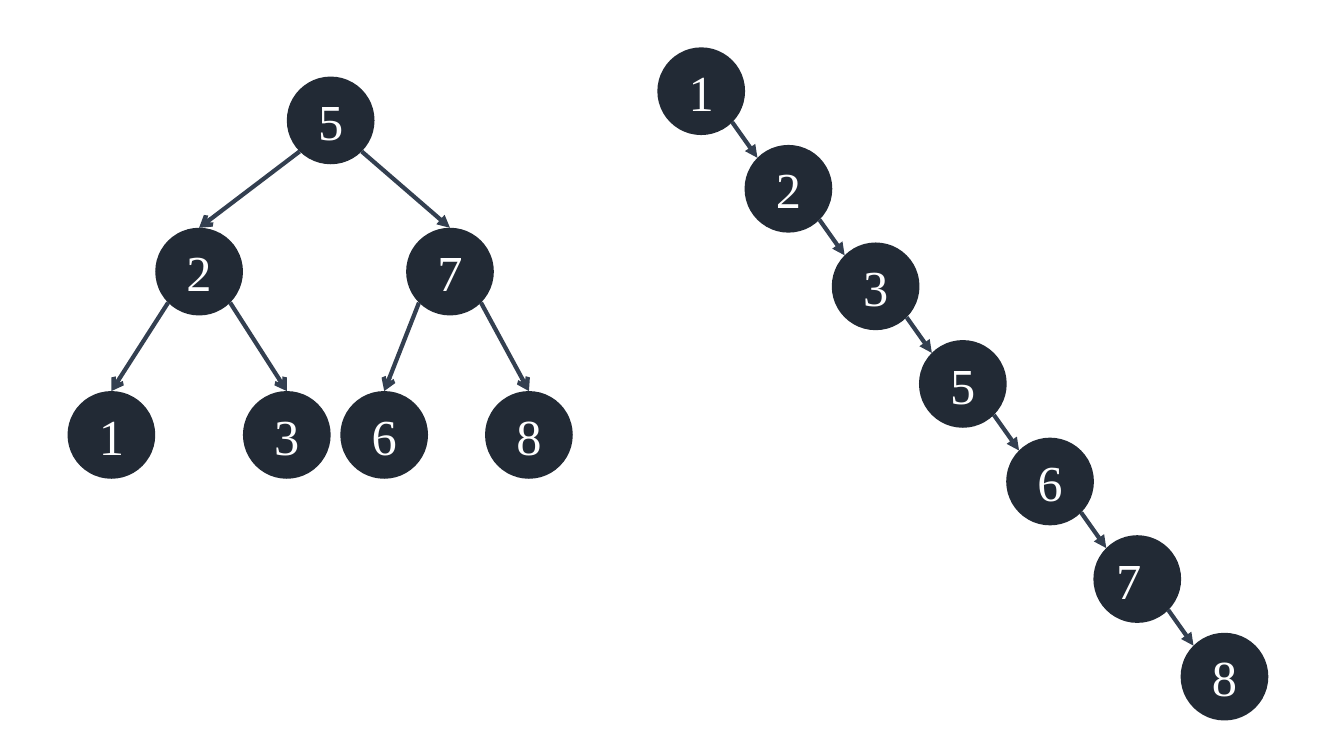
from math import sqrt

from pptx import Presentation
from pptx.dml.color import RGBColor
from pptx.enum.shapes import MSO_CONNECTOR as Connector, MSO_SHAPE as Shape
from pptx.enum.text import MSO_ANCHOR as Anchor, PP_ALIGN as Align
from pptx.oxml.ns import qn
from pptx.util import Inches, Pt
from lxml.etree import SubElement

COLORS = {"node": "222A35", "edge": "333F50", "label": "FFFFFF"}
DIAMETER = 0.87
RADIUS = DIAMETER / 2
DIAGONAL = RADIUS / sqrt(2)

# Balanced tree: columns are one node wide, rows are the tree levels
TREE_LEFT = 0.67
LEVEL_TOPS = [0.76, 2.26, 3.88]
TREE_NODES = {
    "5": (2.5, 0),
    "2": (1, 1), "7": (3.86, 1),
    "1": (0, 2), "3": (2, 2), "6": (3.11, 2), "8": (4.76, 2),
}
TREE_EDGES = [
    ("5", "2", "arrow"), ("5", "7", "triangle"),
    ("2", "1", "arrow"), ("2", "3", "arrow"),
    ("7", "6", "arrow"), ("7", "8", "arrow"),
]

# Degenerate tree: every step goes one column right and one row down
CHAIN_LABELS = "1235678"
CHAIN_LEFT, CHAIN_TOP = 6.52, 0.47
CHAIN_STEP_X, CHAIN_STEP_Y = 0.865, 0.968


def color(name):
    return RGBColor.from_string(COLORS[name])


def add_node(page, label, left, top, align=Align.CENTER):
    """Draw a labelled circle and return its centre."""
    node = page.shapes.add_shape(
        Shape.OVAL, Inches(left), Inches(top), Inches(DIAMETER), Inches(DIAMETER))
    node.shadow.inherit = False
    node.fill.solid()
    node.fill.fore_color.rgb = color("node")
    node.line.fill.background()
    node.text_frame.vertical_anchor = Anchor.MIDDLE
    para = node.text_frame.paragraphs[0]
    para.text = label
    para.alignment = align
    para.font.name = "Times New Roman"
    para.font.size = Pt(36)
    para.font.color.rgb = color("label")
    return left + RADIUS, top + RADIUS


def add_edge(page, start, end, head):
    points = [Inches(value) for value in (*start, *end)]
    edge = page.shapes.add_connector(Connector.STRAIGHT, *points)
    edge.line.color.rgb = color("edge")
    edge.line.width = Pt(3)
    SubElement(edge.line._get_or_add_ln(), qn("a:tailEnd"), type=head)
    SubElement(edge._element.spPr, qn("a:effectLst"))


def add_balanced_tree(page):
    centers = {
        label: add_node(page, label, TREE_LEFT + column * DIAMETER, LEVEL_TOPS[level])
        for label, (column, level) in TREE_NODES.items()
    }
    # Edges leave a parent diagonally and reach the top of a child
    for parent, child, head in TREE_EDGES:
        (parent_x, parent_y), (child_x, child_y) = centers[parent], centers[child]
        side = DIAGONAL if child_x > parent_x else -DIAGONAL
        add_edge(page, (parent_x + side, parent_y + DIAGONAL),
                 (child_x, child_y - RADIUS), head)


def add_chain(page):
    centers = [
        add_node(page, label, CHAIN_LEFT + index * CHAIN_STEP_X,
                 CHAIN_TOP + index * CHAIN_STEP_Y,
                 Align.LEFT if label == "7" else Align.CENTER)
        for index, label in enumerate(CHAIN_LABELS)
    ]
    # Edges join the facing diagonal points of neighbours
    for (x, y), (next_x, next_y) in zip(centers, centers[1:]):
        add_edge(page, (x + DIAGONAL, y + DIAGONAL),
                 (next_x - DIAGONAL, next_y - DIAGONAL), "triangle")


def main():
    deck = Presentation()
    deck.slide_width, deck.slide_height = Inches(13.33), Inches(7.5)
    page = deck.slides.add_slide(deck.slide_layouts[6])
    add_balanced_tree(page)
    add_chain(page)
    deck.save("out.pptx")


if __name__ == "__main__":
    main()
